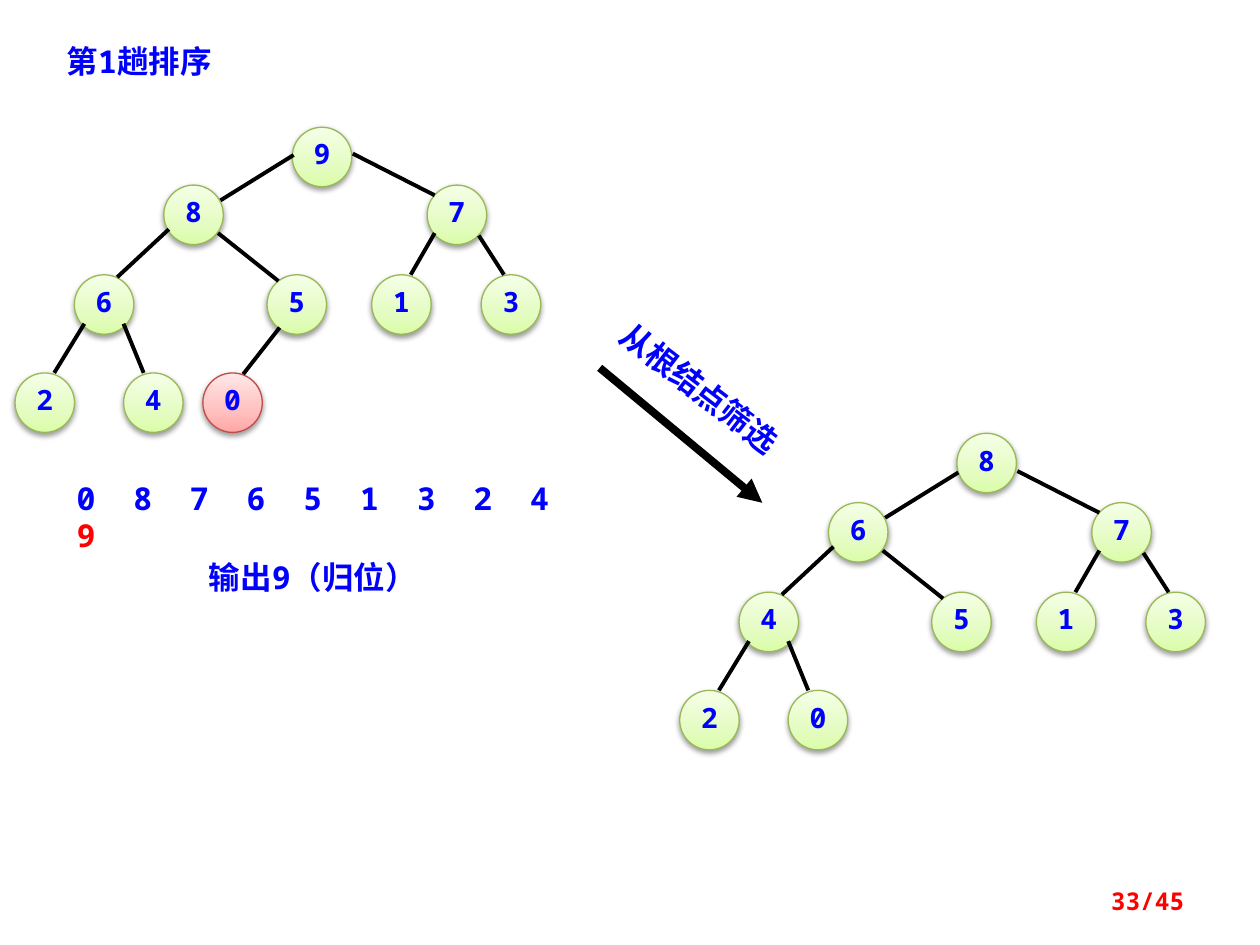
from copy import deepcopy
from dataclasses import dataclass

from lxml.etree import SubElement
from pptx import Presentation
from pptx.dml.color import RGBColor as RGB
from pptx.enum.shapes import MSO_CONNECTOR as LINK, MSO_SHAPE as SHAPE
from pptx.enum.text import MSO_ANCHOR as ANCHOR, MSO_AUTO_SIZE as FIT, PP_ALIGN as ALIGN
from pptx.oxml.ns import qn
from pptx.util import Pt


@dataclass(frozen=True)
class Theme:
    blue: str = "0000FF"
    red: str = "FF0000"
    black: str = "000000"
    green: tuple = ("DAFDA7", "E4FCC2", "F5FFE7")
    pink: tuple = ("FFA6A5", "FFC0BF", "FFE7E7")
    rim: str = "98B955"
    pink_rim: str = "BF4C48"
    mono: str = "Noto Sans Mono"
    han: str = "Noto Sans CJK SC"
    text: int = 18
    node: int = 16
    page: int = 14


T = Theme()


def style(para, size, color=T.blue, font=T.mono):
    for run in para.runs:
        run.font.size, run.font.bold, run.font.name = Pt(size), True, font
        run.font.color.rgb = RGB.from_string(color)
        east = SubElement(run.font._element, qn("a:ea"))
        east.set("typeface", T.han)


def join(start, end, width):
    line = slide.shapes.add_connector(LINK.STRAIGHT, *map(Pt, start + end))
    line.line.width = Pt(width)
    line.line.color.rgb = RGB.from_string(T.black)
    SubElement(line._element.spPr, qn("a:effectLst"))
    return line


deck = Presentation()
deck.slide_width, deck.slide_height = Pt(720), Pt(540)
slide = deck.slides.add_slide(deck.slide_layouts[6])

# Node corners and edges, both in heap order from the root down
SIZE = 34
spots = [(167, 72.7), (93.6, 105.8), (244.1, 105.8), (42.5, 157), (152.6, 157),
         (212.4, 157), (275, 157), (8.6, 213.1), (70.6, 213.1), (115.9, 213.1)]
edges = [((167.8, 88.6), (126, 114.5)), ((201.6, 87.8), (248.4, 111.6)),
         ((96.5, 131), (67, 158.4)), ((124.6, 133.2), (159.1, 160.6)),
         ((248.4, 133.2), (234.7, 157)), ((273.6, 134.6), (288, 157)),
         ((48.2, 185), (31, 213.1)), ((70.6, 185), (82.1, 213.1)),
         ((159.8, 187.2), (139, 213.8))]

# Heap values, shift of the tree, extra lift of the root, index of the marked node
trees = [("9876513240", 0, 0, 0, 9),
         ("867451320", 379.8, 181.4, 6.5, None)]

for keys, dx, dy, lift, mark in trees:
    for i, (key, (x, y)) in enumerate(zip(keys, spots)):
        top = y + dy - (lift if i == 0 else 0)
        node = slide.shapes.add_shape(SHAPE.OVAL, Pt(x + dx), Pt(top), Pt(SIZE), Pt(SIZE))
        tones, rim = (T.pink, T.pink_rim) if i == mark else (T.green, T.rim)

        # Three-stop gradient, rim and soft shadow
        node.fill.gradient()
        node.fill.gradient_angle = 90
        stops = node._element.spPr.find(qn("a:gradFill")).find(qn("a:gsLst"))
        stops.append(deepcopy(stops[-1]))
        for stop, tone, place in zip(node.fill.gradient_stops, tones, (0, 0.35, 1)):
            stop.color.rgb, stop.position = RGB.from_string(tone), place
        node.line.width = Pt(0.75)
        node.line.color.rgb = RGB.from_string(rim)
        node.shadow.inherit = False
        glow = SubElement(node._element.spPr.find(qn("a:effectLst")), qn("a:outerShdw"),
                          blurRad=str(Pt(3.1)), dist=str(Pt(1.6)), dir="5400000", rotWithShape="0")
        shade = SubElement(glow, qn("a:srgbClr"), val=T.black)
        SubElement(shade, qn("a:alpha"), val="38000")

        # Key
        frame = node.text_frame
        frame.text = key
        frame.word_wrap, frame.vertical_anchor = False, ANCHOR.MIDDLE
        para = frame.paragraphs[0]
        para.alignment, para.line_spacing = ALIGN.CENTER, 0.8
        style(para, T.node)

    for (x1, y1), (x2, y2) in edges[:len(keys) - 1]:
        join((x1 + dx, y1 + dy), (x2 + dx, y2 + dy), 2.25)

# Arrow between the trees
arrow = join((342.7, 210.2), (435.6, 287.3), 4.5)
SubElement(arrow.line._get_or_add_ln(), qn("a:tailEnd"), type="triangle")

# Labels: text, box, turn, alignment, line spacing, size, colour, font
labels = [
    ("第1趟排序", (31, 20.2, 153.4, 28.8), 0, ALIGN.LEFT, 1, T.text, T.blue, T.mono),
    ("输出9（归位）", (112.3, 315.4, 181.4, 28.8), 0, ALIGN.LEFT, 1, T.text, T.blue, T.mono),
    ("从根结点筛选", (330.5, 211, 136.1, 24.5), 37.5, ALIGN.CENTER, 0.8, T.text, T.blue, T.han),
    ("33/45", (516.2, 500.4, 167.8, 28.8), 0, ALIGN.RIGHT, 1, T.page, T.red, T.mono),
    ("\t".join("087651324"), (36.7, 270, 312.5, 28.8), 0, ALIGN.LEFT, 1, T.text, T.blue, T.mono),
]
for text, area, turn, align, space, size, color, font in labels:
    box = slide.shapes.add_textbox(*map(Pt, area))
    box.rotation = turn
    frame = box.text_frame
    frame.word_wrap, frame.auto_size = True, FIT.NONE
    frame.text = text
    para = frame.paragraphs[0]
    para.alignment, para.line_spacing = align, space
    style(para, size, color, font)
    if text == "33/45":
        frame.vertical_anchor = ANCHOR.MIDDLE

# The array comes last: even tab stops, then the placed key on its own line
tabs = SubElement(para._p.get_or_add_pPr(), qn("a:tabLst"))
for i in range(1, 9):
    SubElement(tabs, qn("a:tab"), pos=str(Pt(32.4 * i)), algn="l")
para.add_line_break()
last = para.add_run()
last.text = "9"
style(para, T.text)
last.font.color.rgb = RGB.from_string(T.red)
for east in para._p.findall(".//" + qn("a:ea"))[1:-1]:
    east.getparent().remove(east)

deck.save("out.pptx")
